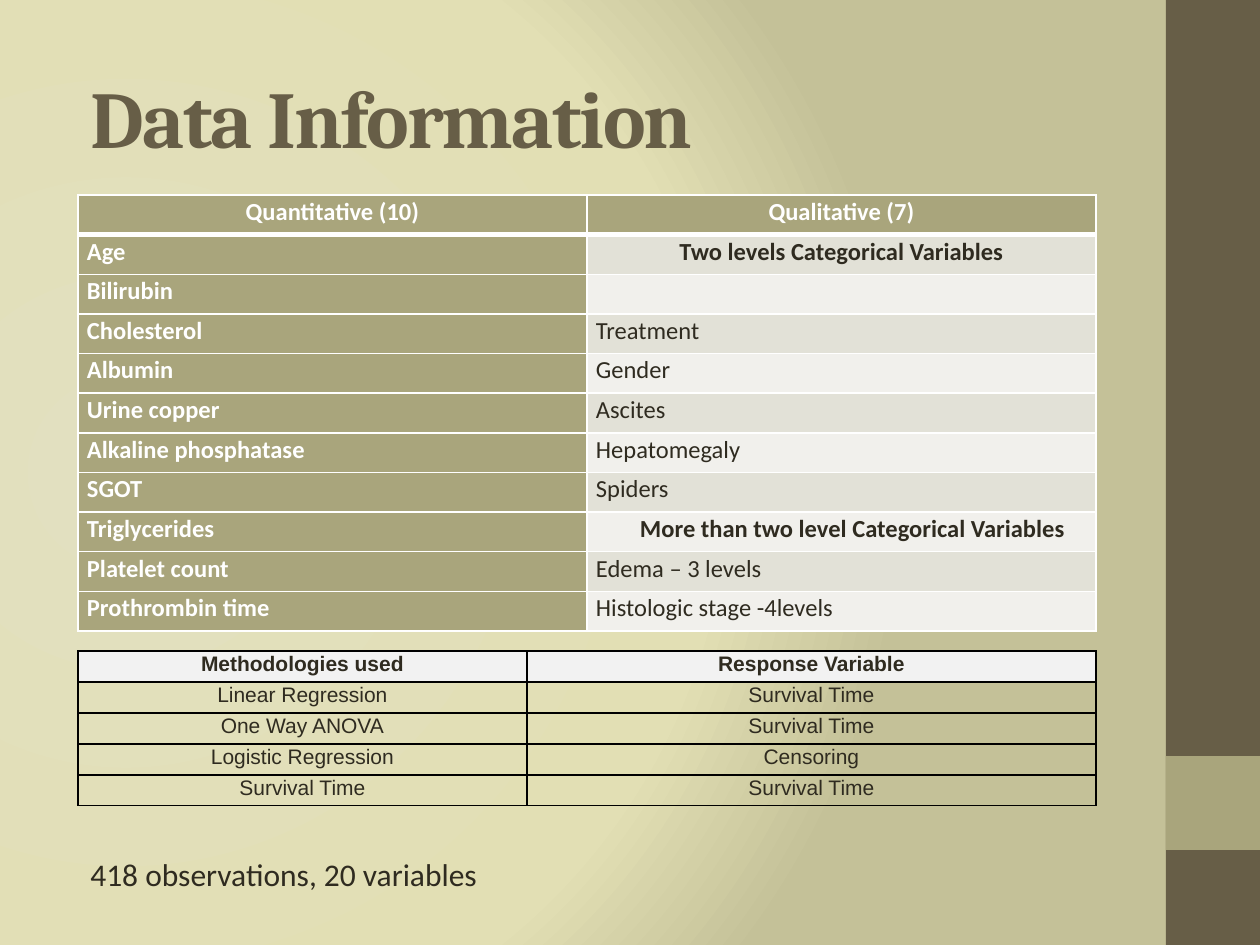
import lxml.etree
import pptx
import pptx.dml.color
import pptx.enum.shapes
import pptx.enum.text
import pptx.oxml
import pptx.oxml.ns
import pptx.util

EMU_PER_PX = 914400 / 126
ALIGN = pptx.enum.text.PP_ALIGN
ANCHOR = pptx.enum.text.MSO_ANCHOR
BROWN, OLIVE, INK, WHITE = "675E47", "A9A57C", "2F2B20", "FFFFFF"
BANDS = ("E2E1D7", "F1F0EC")
CELL_INSET = 9

VARIABLES = [
    ("Quantitative (10)", "Qualitative (7)"),
    ("Age", "Two levels Categorical Variables"),
    ("Bilirubin", ""),
    ("Cholesterol", "Treatment"),
    ("Albumin", "Gender"),
    ("Urine copper", "Ascites"),
    ("Alkaline phosphatase", "Hepatomegaly"),
    ("SGOT", "Spiders"),
    ("Triglycerides", "More than two level Categorical Variables"),
    ("Platelet count", "Edema – 3 levels"),
    ("Prothrombin time", "Histologic stage -4levels"),
]
TWO_LEVELS_ROW, MORE_LEVELS_ROW = 1, 8

METHODS = [
    ("Methodologies used", "Response Variable"),
    ("Linear Regression", "Survival Time"),
    ("One Way ANOVA", "Survival Time"),
    ("Logistic Regression", "Censoring"),
    ("Survival Time", "Survival Time"),
]


def px(length):
    return pptx.util.Emu(round(length * EMU_PER_PX))


def rgb(hex_color):
    return pptx.dml.color.RGBColor.from_string(hex_color)


def variable_style(row, col):
    """Cell style of the variables table: olive headings, banded right column."""
    bold_right = row in (TWO_LEVELS_ROW, MORE_LEVELS_ROW)
    heading = row == 0 or col == 0
    return {
        "fill": OLIVE if heading else BANDS[(row - 1) % 2],
        "color": WHITE if heading else INK,
        "bold": heading or bold_right,
        "centered": row == 0 or (row == TWO_LEVELS_ROW and col == 1),
        "indent": 44 if (row, col) == (MORE_LEVELS_ROW, 1) else 0,
        "borders": {"L": 1, "R": 1, "T": 3 if row == 1 else 1,
                    "B": 3 if row == 0 else 1},
    }


def method_style(row, col):
    """Cell style of the methods table: light header over unfilled rows."""
    return {
        "fill": "F2F2F2" if row == 0 else None,
        "color": INK,
        "bold": row == 0,
        "centered": True,
        "indent": 0,
        "borders": dict.fromkeys("LRTB", 1),
    }


class SlideBuilder:
    def __init__(self, slide, title_font, body_font):
        self.slide = slide
        self.title_font = title_font
        self.body_font = body_font

    def background(self, stops):
        """Radial gradient centred left of the middle; stops are (percent, colour)."""
        fill = self.slide.background.fill
        fill.solid()
        fill.fore_color.rgb = rgb(stops[0][1])
        colors = "".join(
            f'<a:gs pos="{percent * 1000}"><a:srgbClr val="{color}"/></a:gs>'
            for percent, color in stops)
        gradient = pptx.oxml.parse_xml(
            f'<a:gradFill {pptx.oxml.ns.nsdecls("a")} rotWithShape="1">'
            f'<a:gsLst>{colors}</a:gsLst><a:path path="circle">'
            '<a:fillToRect l="20000" t="50000" r="100000" b="50000"/>'
            '</a:path></a:gradFill>')
        solid = next(self.slide.element.iter(pptx.oxml.ns.qn("a:solidFill")))
        solid.getparent().replace(solid, gradient)

    def run(self, paragraph, text, size, color, bold=False, font=None):
        run = paragraph.add_run()
        run.text = text
        run.font.name = font or self.body_font
        run.font.size = pptx.util.Pt(size)
        run.font.bold = bold
        run.font.color.rgb = rgb(color)
        return run

    def block(self, left, top, width, height, color):
        block = self.slide.shapes.add_shape(
            pptx.enum.shapes.MSO_SHAPE.RECTANGLE,
            px(left), px(top), px(width), px(height))
        block.shadow.inherit = False
        block.fill.solid()
        block.fill.fore_color.rgb = rgb(color)
        block.line.fill.background()

    def title(self, text, left, top, width, height):
        title = self.slide.shapes.title
        title.left, title.top = px(left), px(top)
        title.width, title.height = px(width), px(height)
        frame = title.text_frame
        frame.vertical_anchor = ANCHOR.MIDDLE
        frame.margin_left = px(28)
        paragraph = frame.paragraphs[0]
        paragraph.alignment = ALIGN.LEFT
        run = self.run(paragraph, text, 46, BROWN, True, self.title_font)
        run.font._element.set("spc", "-100")

    def caption(self, text, left, top, width, height):
        box = self.slide.shapes.add_textbox(px(left), px(top), px(width), px(height))
        box.text_frame.word_wrap = False
        self.run(box.text_frame.paragraphs[0], text, 18, INK)

    def borders(self, cell, color, widths):
        properties = cell._tc.get_or_add_tcPr()
        for side, points in widths.items():
            line = lxml.etree.SubElement(
                properties, pptx.oxml.ns.qn(f"a:ln{side}"),
                w=str(pptx.util.Pt(points)))
            solid = lxml.etree.SubElement(line, pptx.oxml.ns.qn("a:solidFill"))
            lxml.etree.SubElement(solid, pptx.oxml.ns.qn("a:srgbClr"), val=color)

    def table(self, rows, left, top, widths, height, size, font, border, style):
        """Fill a table; style(row, col) gives the look of each cell."""
        table = self.slide.shapes.add_table(
            len(rows), len(widths), px(left), px(top),
            px(sum(widths)), px(height)).table
        table.first_row = table.horz_banding = False
        for column, width in zip(table.columns, widths):
            column.width = px(width)
        for r, texts in enumerate(rows):
            table.rows[r].height = px(height / len(rows))
            for c, text in enumerate(texts):
                cell, look = table.cell(r, c), style(r, c)
                cell.margin_left = px(CELL_INSET + look["indent"])
                cell.margin_right = px(CELL_INSET)
                cell.margin_top = cell.margin_bottom = 0
                self.borders(cell, border, look["borders"])
                if look["fill"]:
                    cell.fill.solid()
                    cell.fill.fore_color.rgb = rgb(look["fill"])
                else:
                    cell.fill.background()
                if text:
                    paragraph = cell.text_frame.paragraphs[0]
                    paragraph.alignment = ALIGN.CENTER if look["centered"] else ALIGN.LEFT
                    paragraph.line_spacing = 1.07
                    self.run(paragraph, text, size, look["color"], look["bold"], font)


def main():
    deck = pptx.Presentation()
    deck.slide_width, deck.slide_height = px(1260), px(945)
    slide = deck.slides.add_slide(deck.slide_layouts[5])
    builder = SlideBuilder(slide, "Cambria", "Calibri")

    builder.background([(0, "E2E0C0"), (75, "E2DFB4"), (100, "C4C198")])
    builder.block(1166, 0, 94, 945, BROWN)
    builder.block(1166, 756, 94, 94, OLIVE)
    builder.title("Data Information", 63, 38, 1050, 157)
    builder.table(VARIABLES, 78, 195, (509, 509), 436, 14, "Calibri",
                  WHITE, variable_style)
    builder.table(METHODS, 78, 651, (449, 569), 155, 12, "Arial",
                  "000000", method_style)
    builder.caption("418 observations, 20 variables", 78, 849, 417, 50)

    deck.save("out.pptx")


if __name__ == "__main__":
    main()
